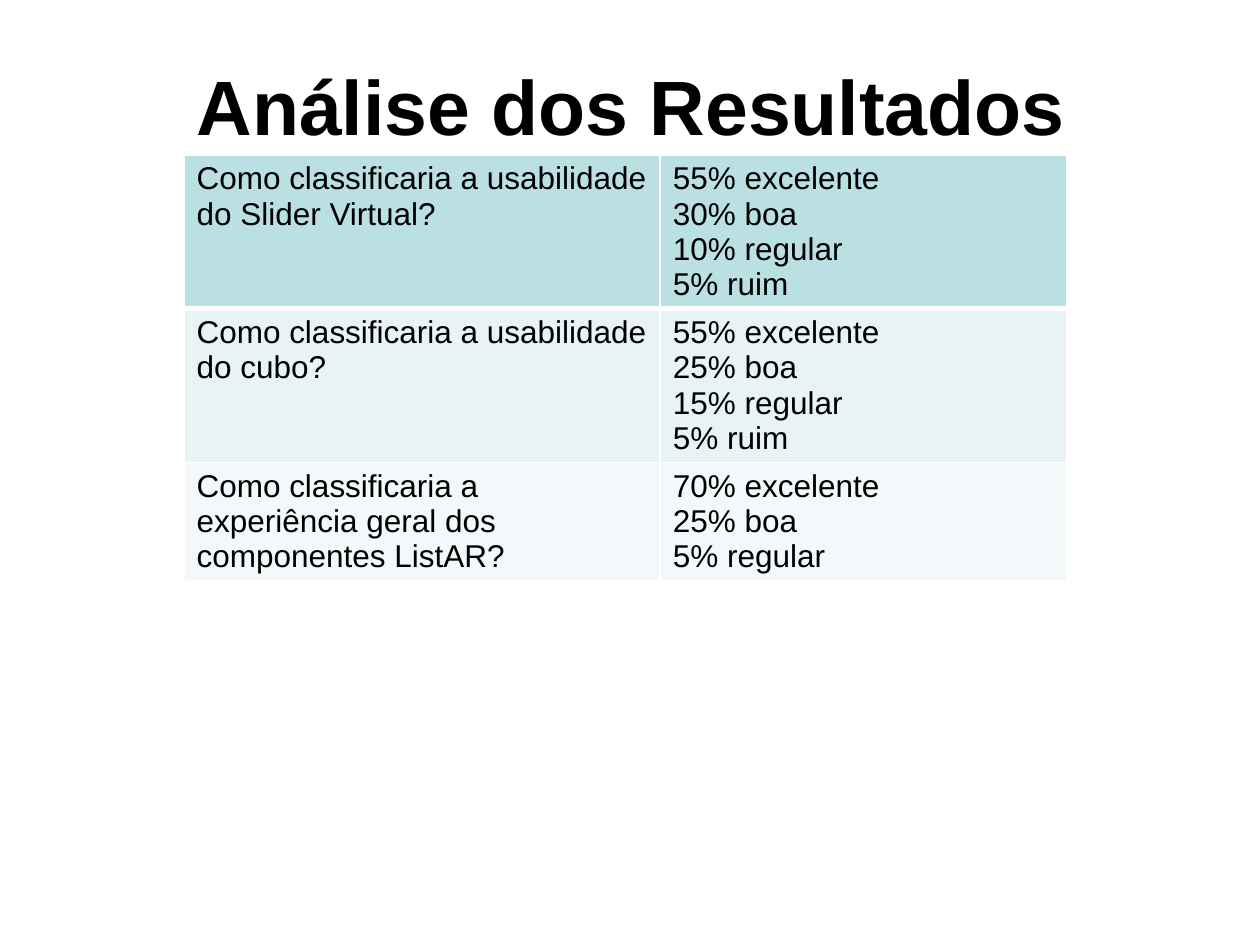
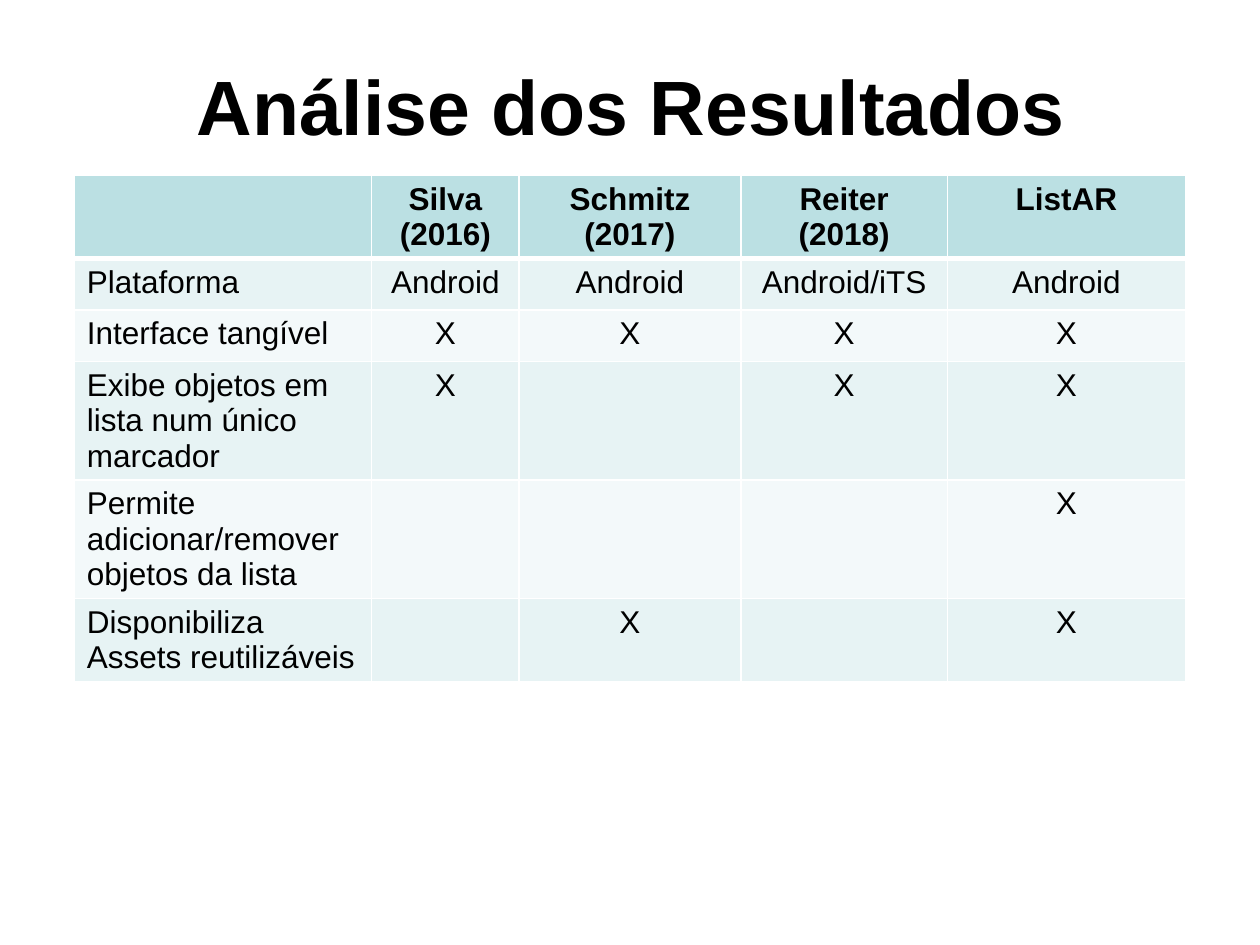
"""Build two result-analysis slides, each with a title and a table."""
from dataclasses import dataclass

from lxml import etree
from pptx import Presentation
from pptx.dml.color import RGBColor
from pptx.enum.text import MSO_ANCHOR, PP_ALIGN
from pptx.oxml.ns import qn
from pptx.presentation import Presentation as Deck
from pptx.slide import Slide
from pptx.table import _Cell
from pptx.text.text import TextFrame
from pptx.util import Emu, Pt

LEFT, CENTER = PP_ALIGN.LEFT, PP_ALIGN.CENTER
MIDDLE = MSO_ANCHOR.MIDDLE
TITLE_ONLY = 5
EMU_PER_PX = 9144
ROW_HEIGHT = 41


@dataclass(frozen=True)
class Theme:
    """Colours, type sizes and line widths shared by the slides."""
    font: str = "Arial"
    text: str = "000000"
    header: str = "BBE0E3"
    bands: tuple[str, str] = ("E7F3F4", "F3F9FA")
    border: str = "FFFFFF"
    title_size: int = 44
    body_size: int = 18
    thin: int = 1
    thick: int = 3


@dataclass(frozen=True)
class ResultTable:
    """Place, grid and wording of one table, in px."""
    left: int
    top: int
    height: int
    widths: tuple[int, ...]
    rows: tuple[tuple[str, ...], ...]
    answer_align: PP_ALIGN
    bold_header: bool


THEME = Theme()
TITLE = "Análise dos Resultados"
TITLE_PLACE = {"left": 51, "top": 21, "width": 900, "height": 125}

SURVEY = ResultTable(
    left=146, top=123, height=360, widths=(378, 323),
    rows=(
        ("Como classificaria a usabilidade do Slider Virtual?",
         "55% excelente\n30% boa\n10% regular\n5% ruim"),
        ("Como classificaria a usabilidade do cubo?",
         "55% excelente\n25% boa\n15% regular\n5% ruim"),
        ("Como classificaria a experiência geral dos componentes ListAR?",
         "70% excelente\n25% boa\n5% regular"),
    ),
    answer_align=LEFT, bold_header=False,
)

COMPARISON = ResultTable(
    left=59, top=139, height=421, widths=(236, 117, 176, 164, 189),
    rows=(
        ("", "Silva (2016)", "Schmitz (2017)", "Reiter (2018)", "ListAR"),
        ("Plataforma", "Android", "Android", "Android/iTS", "Android"),
        ("Interface tangível", "X", "X", "X", "X"),
        ("Exibe objetos em lista num único marcador", "X", "", "X", "X"),
        ("Permite adicionar/remover objetos da lista", "", "", "", "X"),
        ("Disponibiliza Assets reutilizáveis", "", "X", "", "X"),
    ),
    answer_align=CENTER, bold_header=True,
)


def px(length: int) -> Emu:
    """Turn px into EMU."""
    return Emu(length * EMU_PER_PX)


def write_text(frame: TextFrame, text: str, size: int, bold: bool, align: PP_ALIGN) -> None:
    """Fill a text frame with one paragraph a line."""
    frame.text = text
    formats = {"name": THEME.font, "size": Pt(size), "bold": bold}
    for para in frame.paragraphs:
        para.alignment = align
        for span in para.runs:
            for name, value in formats.items():
                setattr(span.font, name, value)
            span.font.color.rgb = RGBColor.from_string(THEME.text)


def add_borders(cell: _Cell, row: int) -> None:
    """Draw the cell's borders, with a thick line under the header."""
    thick_side = {0: "lnB", 1: "lnT"}.get(row)
    properties = cell._tc.get_or_add_tcPr()
    for side in ("lnL", "lnR", "lnT", "lnB"):
        width = THEME.thick if side == thick_side else THEME.thin
        line = etree.SubElement(properties, qn(f"a:{side}"), w=str(Pt(width)))
        fill = etree.SubElement(line, qn("a:solidFill"))
        etree.SubElement(fill, qn("a:srgbClr"), val=THEME.border)


def add_result_table(page: Slide, layout: ResultTable) -> None:
    """Place a table with a header row and bands; rows grow with their text."""
    frame = page.shapes.add_table(
        len(layout.rows), len(layout.widths), px(layout.left), px(layout.top),
        px(sum(layout.widths)), px(layout.height))
    table = frame.table
    for flag in ("first_row", "horz_banding"):
        setattr(table, flag, False)
    for column, width in zip(table.columns, layout.widths):
        column.width = px(width)
    for row, texts in enumerate(layout.rows):
        table.rows[row].height = px(ROW_HEIGHT)
        color = THEME.bands[(row - 1) % 2] if row else THEME.header
        for column, text in enumerate(texts):
            cell = table.cell(row, column)
            add_borders(cell, row)
            cell.fill.solid()
            cell.fill.fore_color.rgb = RGBColor.from_string(color)
            write_text(cell.text_frame, text, THEME.body_size,
                       layout.bold_header and row == 0,
                       layout.answer_align if column else LEFT)
    frame.height = px(layout.height)


def add_page(deck: Deck, layout: ResultTable) -> None:
    """Add a titled slide holding one table."""
    page = deck.slides.add_slide(deck.slide_layouts[TITLE_ONLY])
    title = page.shapes.title
    for name, length in TITLE_PLACE.items():
        setattr(title, name, px(length))
    title.text_frame.vertical_anchor = MIDDLE
    write_text(title.text_frame, TITLE, THEME.title_size, True, CENTER)
    add_result_table(page, layout)


def main() -> None:
    """Build and save the deck."""
    deck = Presentation()
    deck.slide_width, deck.slide_height = px(1000), px(750)
    for layout in (SURVEY, COMPARISON):
        add_page(deck, layout)
    deck.save("out.pptx")


if __name__ == "__main__":
    main()
